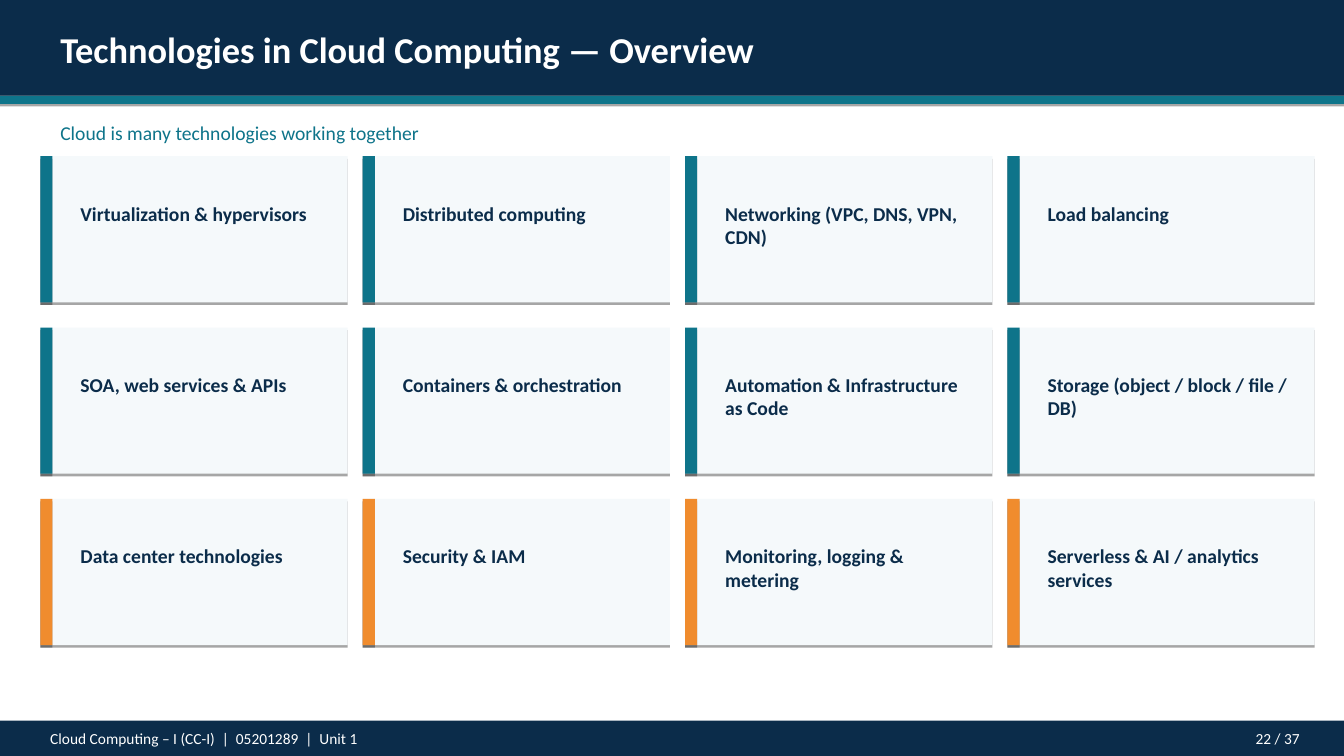
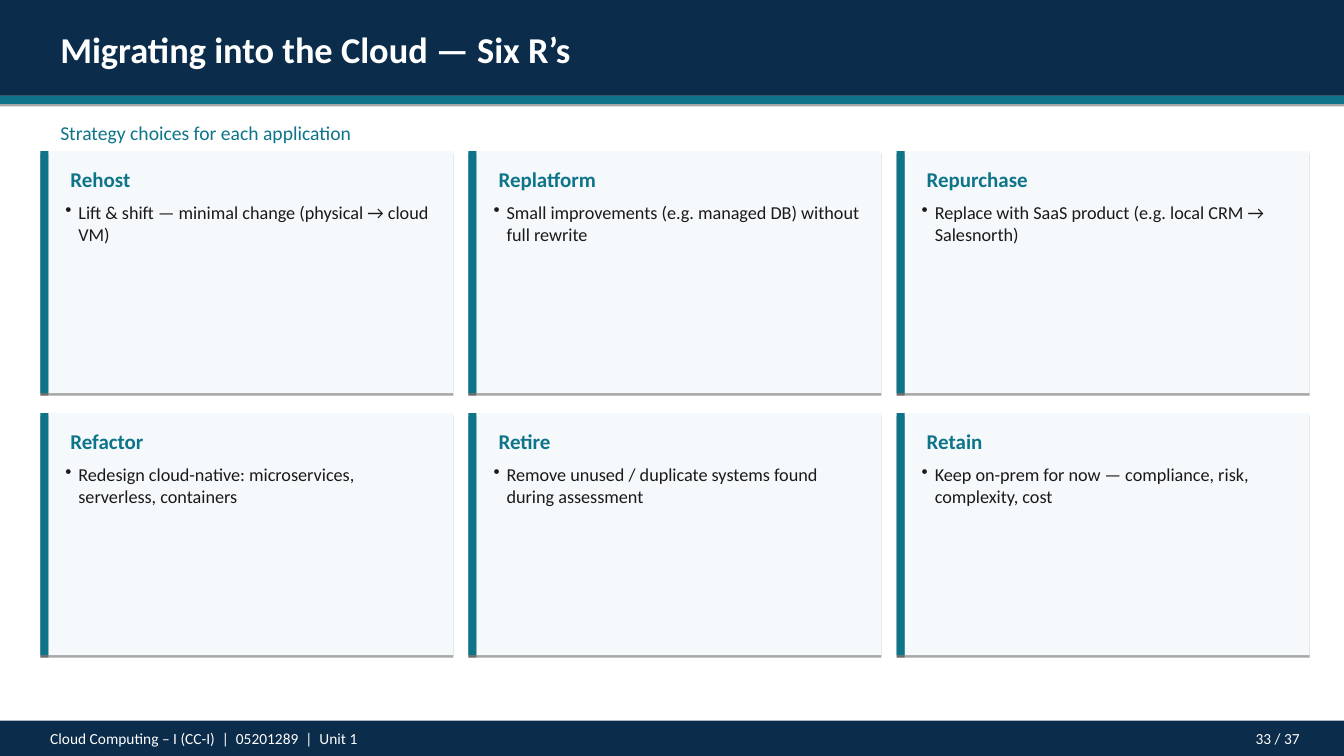
import pptx
import pptx.util
import pptx.dml.color
import pptx.enum.shapes
import pptx.enum.text
import pptx.oxml
import pptx.oxml.ns

Inches = pptx.util.Inches
WIDE, HIGH = 13.34, 7.5
FONT = "Calibri"
PAGES = 37
COLORS = {
    "navy": "0B2C4A",
    "teal": "0E748A",
    "orange": "F08C2E",
    "card": "F5F9FB",
    "ink": "1A1A1A",
    "white": "FFFFFF",
}
SHADOW = (
    f'<a:effectLst {pptx.oxml.ns.nsdecls("a")}>'
    '<a:outerShdw blurRad="0" dist="23000" dir="5400000" rotWithShape="0">'
    '<a:srgbClr val="000000"><a:alpha val="35000"/></a:srgbClr>'
    "</a:outerShdw></a:effectLst>"
)

TOPICS = [
    ["Virtualization & hypervisors", "Distributed computing",
     "Networking (VPC, DNS, VPN, CDN)", "Load balancing"],
    ["SOA, web services & APIs", "Containers & orchestration",
     "Automation & Infrastructure as Code",
     "Storage (object / block / file / DB)"],
    ["Data center technologies", "Security & IAM",
     "Monitoring, logging & metering",
     "Serverless & AI / analytics services"],
]
ROW_TINTS = ["teal", "teal", "orange"]

CHOICES = [
    [("Rehost", "Lift & shift — minimal change (physical → cloud VM)"),
     ("Replatform",
      "Small improvements (e.g. managed DB) without full rewrite"),
     ("Repurchase",
      "Replace with SaaS product (e.g. local CRM → Salesnorth)")],
    [("Refactor",
      "Redesign cloud-native: microservices, serverless, containers"),
     ("Retire", "Remove unused / duplicate systems found during assessment"),
     ("Retain", "Keep on-prem for now — compliance, risk, complexity, cost")],
]


def tint(name):
    return pptx.dml.color.RGBColor.from_string(COLORS[name])


def add_rect(slide, left, top, width, height, color):
    """Add a plain filled rectangle with a thin hard shadow below it."""
    rect = slide.shapes.add_shape(
        pptx.enum.shapes.MSO_SHAPE.RECTANGLE,
        Inches(left), Inches(top), Inches(width), Inches(height))
    rect.fill.solid()
    rect.fill.fore_color.rgb = tint(color)
    rect.line.fill.background()
    rect.shadow.inherit = False
    props = rect._element.spPr
    props.replace(props.find(pptx.oxml.ns.qn("a:effectLst")),
                  pptx.oxml.parse_xml(SHADOW))


def add_bullet(para, indent):
    props = para._p.get_or_add_pPr()
    props.set("marL", str(Inches(indent)))
    props.set("indent", str(-Inches(indent)))
    mark = pptx.oxml.parse_xml(
        f'<a:buChar {pptx.oxml.ns.nsdecls("a")} char="•"/>')
    props.append(mark)


def add_text(slide, left, top, width, height, text, size, color,
             bold=False, right=False, bullet=False):
    box = slide.shapes.add_textbox(
        Inches(left), Inches(top), Inches(width), Inches(height))
    frame = box.text_frame
    frame.word_wrap = True
    frame.auto_size = pptx.enum.text.MSO_AUTO_SIZE.SHAPE_TO_FIT_TEXT
    para = frame.paragraphs[0]
    if right:
        para.alignment = pptx.enum.text.PP_ALIGN.RIGHT
    if bullet:
        add_bullet(para, 0.13)
    run = para.add_run()
    run.text = text
    run.font.name = FONT
    run.font.size = pptx.util.Pt(size)
    run.font.bold = bold
    run.font.color.rgb = tint(color)


def add_head(slide, title, lead):
    add_rect(slide, 0, 0, WIDE, 0.95, "navy")
    add_rect(slide, 0, 0.95, WIDE, 0.08, "teal")
    add_text(slide, 0.5, 0.22, 11.5, 0.53, title, 26, "white", bold=True)
    add_text(slide, 0.5, 1.15, 12, 0.33, lead, 14, "teal")


def add_foot(slide, page):
    top = HIGH - 0.35
    add_rect(slide, 0, top, WIDE, 0.35, "navy")
    add_text(slide, 0.4, top + 0.03, 9, 0.28,
             "Cloud Computing – I (CC-I)  |  05201289  |  Unit 1", 11, "white")
    add_text(slide, 11.2, top + 0.03, 1.8, 0.28,
             f"{page} / {PAGES}", 11, "white", right=True)


def start_slide(deck, title, lead, page):
    slide = deck.slides.add_slide(deck.slide_layouts[6])
    add_head(slide, title, lead)
    add_foot(slide, page)
    return slide


def grid(rows, left, top, width, height, gap_x, gap_y):
    """Yield row number, cell box and item for each entry of the rows."""
    for r, row in enumerate(rows):
        for c, item in enumerate(row):
            yield r, (left + c * (width + gap_x), top + r * (height + gap_y),
                      width, height), item


def add_card(slide, box, edge, color):
    left, top, width, height = box
    add_rect(slide, left, top, width, height, "card")
    add_rect(slide, left, top, edge, height, color)


def add_topic(slide, box, text, color):
    left, top, width, height = box
    add_card(slide, box, 0.12, color)
    add_text(slide, left + 0.3, top + 0.4, width - 0.45, 0.33,
             text, 14, "navy", bold=True)


def add_choice(slide, box, name, note):
    left, top, width, height = box
    add_card(slide, box, 0.08, "teal")
    add_text(slide, left + 0.2, top + 0.1, width - 0.3, 0.35,
             name, 15, "teal", bold=True)
    add_text(slide, left + 0.15, top + 0.45, width - 0.25, 0.53,
             note, 13, "ink", bullet=True)


def build_topics(deck):
    slide = start_slide(deck, "Technologies in Cloud Computing — Overview",
                        "Cloud is many technologies working together", 22)
    for row, box, text in grid(TOPICS, 0.4, 1.55, 3.05, 1.45, 0.15, 0.25):
        add_topic(slide, box, text, ROW_TINTS[row])


def build_choices(deck):
    slide = start_slide(deck, "Migrating into the Cloud — Six R’s",
                        "Strategy choices for each application", 33)
    for _, box, (name, note) in grid(CHOICES, 0.4, 1.5, 4.1, 2.4, 0.15, 0.2):
        add_choice(slide, box, name, note)


def main():
    deck = pptx.Presentation()
    deck.slide_width = Inches(WIDE)
    deck.slide_height = Inches(HIGH)
    build_topics(deck)
    build_choices(deck)
    deck.save("out.pptx")


if __name__ == "__main__":
    main()
